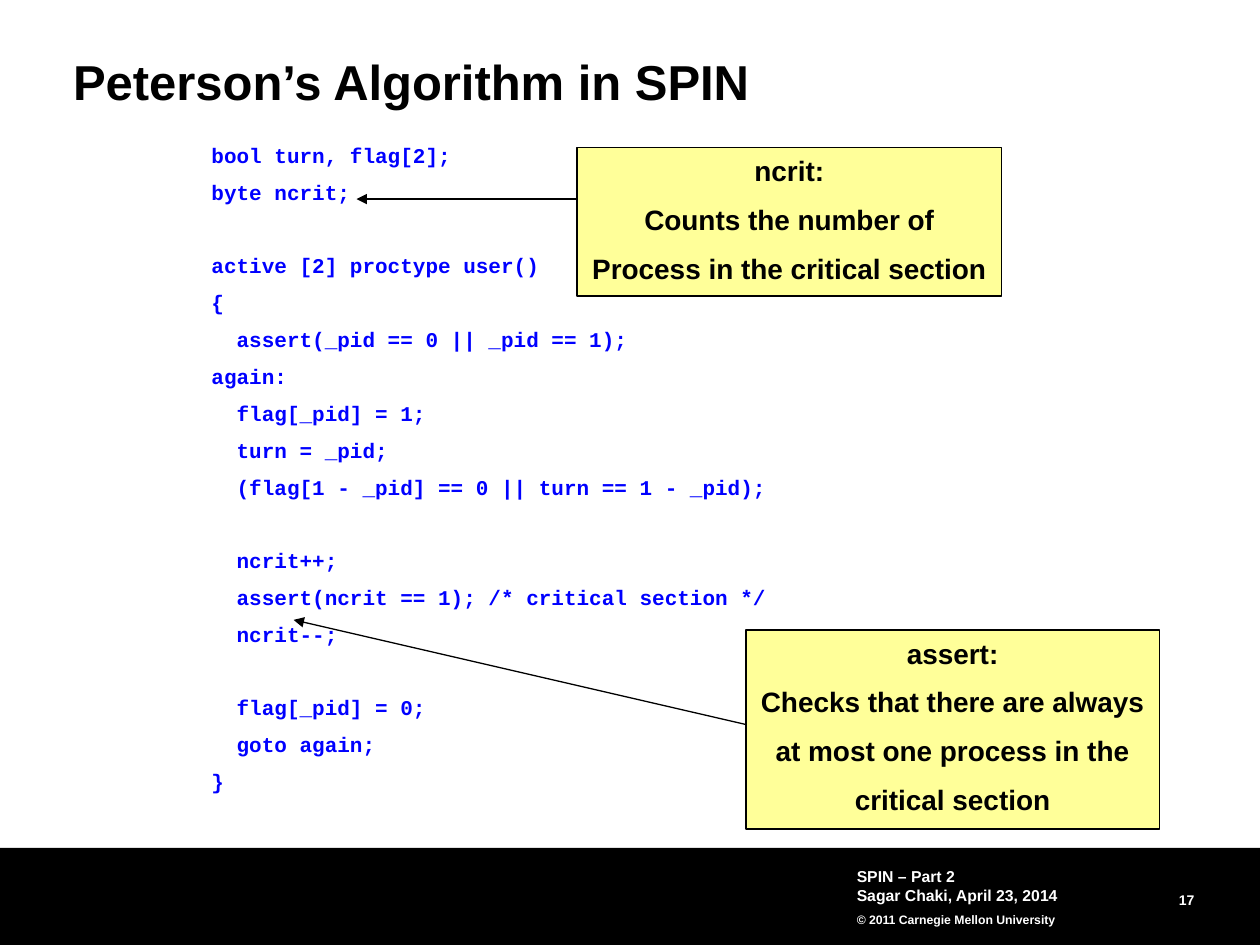
from lxml.etree import SubElement
from pptx import Presentation
from pptx.dml.color import RGBColor
from pptx.enum.shapes import MSO_CONNECTOR, MSO_SHAPE
from pptx.enum.text import MSO_ANCHOR as Anchor, PP_ALIGN as Align
from pptx.oxml.ns import qn
from pptx.util import Inches, Pt

COLORS = {"black": "000000", "white": "FFFFFF", "code": "0000FF", "note": "FFFF99"}


def color(name):
    return RGBColor.from_string(COLORS[name])


def write(box, lines, ink, font="Arial", align=Align.LEFT, anchor=Anchor.TOP,
          margins=(0.1, 0.05), wrap=True):
    frame = box.text_frame
    frame.word_wrap = wrap
    frame.vertical_anchor = anchor
    frame.margin_left = frame.margin_right = Inches(margins[0])
    frame.margin_top = frame.margin_bottom = Inches(margins[1])
    for index, (text, size, before, spacing) in enumerate(lines):
        para = frame.add_paragraph() if index else frame.paragraphs[0]
        para.alignment = align
        para.space_before = Pt(before if index else 0)
        para.line_spacing = spacing
        span = para.add_run()
        span.text = text
        span.font.name = font
        span.font.size = Pt(size)
        span.font.bold = True
        span.font.color.rgb = color(ink)


deck = Presentation()
deck.slide_width, deck.slide_height = Inches(10), Inches(7.5)
page = deck.slides.add_slide(deck.slide_layouts[6])

footer = page.shapes.add_shape(MSO_SHAPE.RECTANGLE, Inches(0), Inches(6.73), Inches(10), Inches(0.77))
footer.shadow.inherit = False
footer.fill.solid()
footer.fill.fore_color.rgb = color("black")
footer.line.fill.background()

number = page.shapes.add_textbox(Inches(8.56), Inches(7.03), Inches(0.92), Inches(0.18))
write(number, [("17", 8, 0, Pt(13))], "white", align=Align.RIGHT, anchor=Anchor.MIDDLE, margins=(0, 0))

credit = page.shapes.add_textbox(Inches(6.75), Inches(6.83), Inches(2.5), Inches(0.58))
write(credit, [
    ("SPIN – Part 2", 9, 0, 1.0),
    ("Sagar Chaki, April 23, 2014", 9, 0, 1.0),
    ("© 2011 Carnegie Mellon University", 7, 0, 1.5),
], "white", anchor=Anchor.MIDDLE, margins=(0.05, 0.05))

title = page.shapes.add_textbox(Inches(0.58), Inches(0.46), Inches(8.92), Inches(0.42))
write(title, [("Peterson’s Algorithm in SPIN", 28, 0, 0.9)], "black", margins=(0, 0))

code_blocks = [
    ["bool turn, flag[2];", "byte ncrit;"],
    ["active [2] proctype user()", "{", "  assert(_pid == 0 || _pid == 1);", "again:",
     "  flag[_pid] = 1;", "  turn = _pid;", "  (flag[1 - _pid] == 0 || turn == 1 - _pid);"],
    ["  ncrit++;", "  assert(ncrit == 1); /* critical section */", "  ncrit--;"],
    ["  flag[_pid] = 0;", "  goto again;", "}"],
]
code = page.shapes.add_textbox(Inches(1.58), Inches(1.08), Inches(6.08), Inches(5.58))
write(code, [(line, 12, 6.8 if row else 27.2, 1.0)
             for block in code_blocks for row, line in enumerate(block)],
      "code", font="Courier New")

callouts = [
    ((4.58, 1.17, 3.37, 1.18),
     ["ncrit:", "Counts the number of", "Process in the critical section"]),
    ((5.92, 5, 3.28, 1.58),
     ["assert:", "Checks that there are always", "at most one process in the", "critical section"]),
]
for place, lines in callouts:
    callout = page.shapes.add_shape(MSO_SHAPE.RECTANGLE, *map(Inches, place))
    callout.shadow.inherit = False
    callout.fill.solid()
    callout.fill.fore_color.rgb = color("note")
    callout.line.color.rgb = color("black")
    callout.line.width = Pt(0.75)
    write(callout, [(line, 16, 8.7, 1.0) for line in lines], "black", align=Align.CENTER, wrap=False)

for ends in [(5.92, 5.75, 2.33, 4.92), (4.58, 1.58, 2.83, 1.58)]:
    arrow = page.shapes.add_connector(MSO_CONNECTOR.STRAIGHT, *map(Inches, ends))
    arrow.line.color.rgb = color("black")
    arrow.line.width = Pt(0.75)
    SubElement(arrow.line._get_or_add_ln(), qn("a:tailEnd"), type="triangle")
    SubElement(arrow._element.spPr, qn("a:effectLst"))

deck.save("out.pptx")
